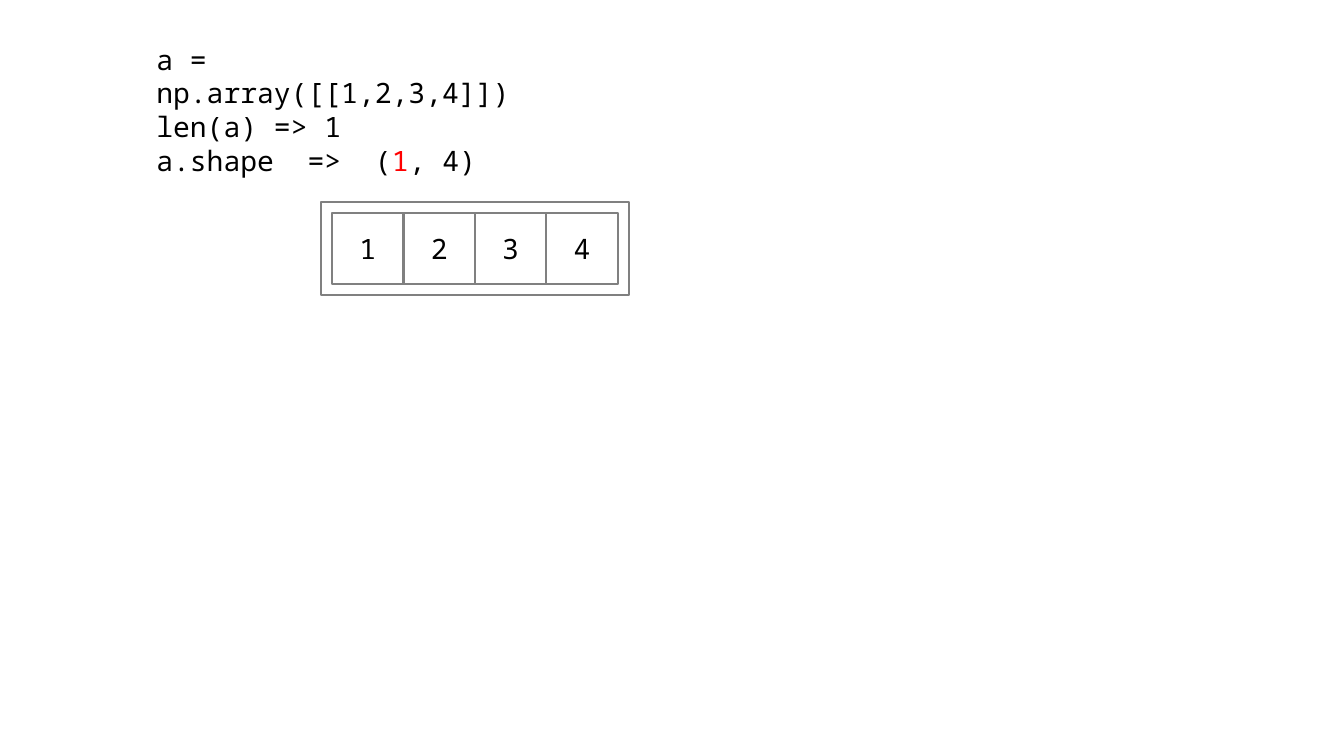
from dataclasses import dataclass

from pptx import Presentation
from pptx.dml.color import RGBColor
from pptx.enum.shapes import MSO_SHAPE
from pptx.enum.text import MSO_ANCHOR, PP_ALIGN
from pptx.shapes.autoshape import Shape
from pptx.shapes.shapetree import GroupShapes, SlideShapes
from pptx.text.text import _Paragraph
from pptx.util import Cm, Pt

FACE = "Noto Sans Mono"
BLACK, RED, GREY, WHITE = "000000", "FF0000", "808080", "FFFFFF"
SIDE = 1.8


@dataclass
class Box:
    left: float
    top: float
    width: float
    height: float
    text: str = ""


@dataclass
class Part:
    text: str
    tint: str = BLACK


def color(code: str) -> RGBColor:
    return RGBColor.from_string(code)


def style(para: _Paragraph) -> None:
    para.font.name = FACE
    para.font.size = Pt(20)
    para.font.color.rgb = color(BLACK)


def draw_box(shapes: SlideShapes | GroupShapes, box: Box) -> Shape:
    shape = shapes.add_shape(
        MSO_SHAPE.RECTANGLE, Cm(box.left), Cm(box.top), Cm(box.width), Cm(box.height)
    )
    shape.shadow.inherit = False
    shape.fill.solid()
    shape.fill.fore_color.rgb = color(WHITE)
    shape.line.color.rgb = color(GREY)
    shape.line.width = Pt(1.5)
    if box.text:
        frame = shape.text_frame
        frame.vertical_anchor = MSO_ANCHOR.MIDDLE
        frame.margin_left = frame.margin_right = Cm(0.1)
        frame.margin_top = frame.margin_bottom = Cm(0.13)
        para = frame.paragraphs[0]
        para.text = box.text
        para.alignment = PP_ALIGN.CENTER
        style(para)
    return shape


def draw_code(shapes: SlideShapes, box: Box, lines: list[list[Part]]) -> None:
    frame = shapes.add_textbox(
        Cm(box.left), Cm(box.top), Cm(box.width), Cm(box.height)
    ).text_frame
    frame.word_wrap = True
    for row, line in enumerate(lines):
        para = frame.add_paragraph() if row else frame.paragraphs[0]
        style(para)
        for part in line:
            run = para.add_run()
            run.text = part.text
            if part.tint != BLACK:
                run.font.color.rgb = color(part.tint)


def main() -> None:
    deck = Presentation()
    deck.slide_width, deck.slide_height = Cm(33.87), Cm(19.05)
    shapes = deck.slides.add_slide(deck.slide_layouts[6]).shapes

    draw_box(shapes, Box(8.08, 5.08, 7.78, 2.36))
    draw_code(
        shapes,
        Box(3.69, 0.94, 10.3, 3.68),
        [
            [Part("a = np.array([[1,2,3,4]])")],
            [Part("len(a) => 1")],
            [Part("a.shape  =>  ("), Part("1", RED), Part(", 4)")],
        ],
    )
    group = shapes.add_group_shape()
    for col in range(4):
        cell = Box(8.37 + col * SIDE, 5.36, SIDE, SIDE, str(col + 1))
        draw_box(group.shapes, cell)

    deck.save("out.pptx")


if __name__ == "__main__":
    main()
